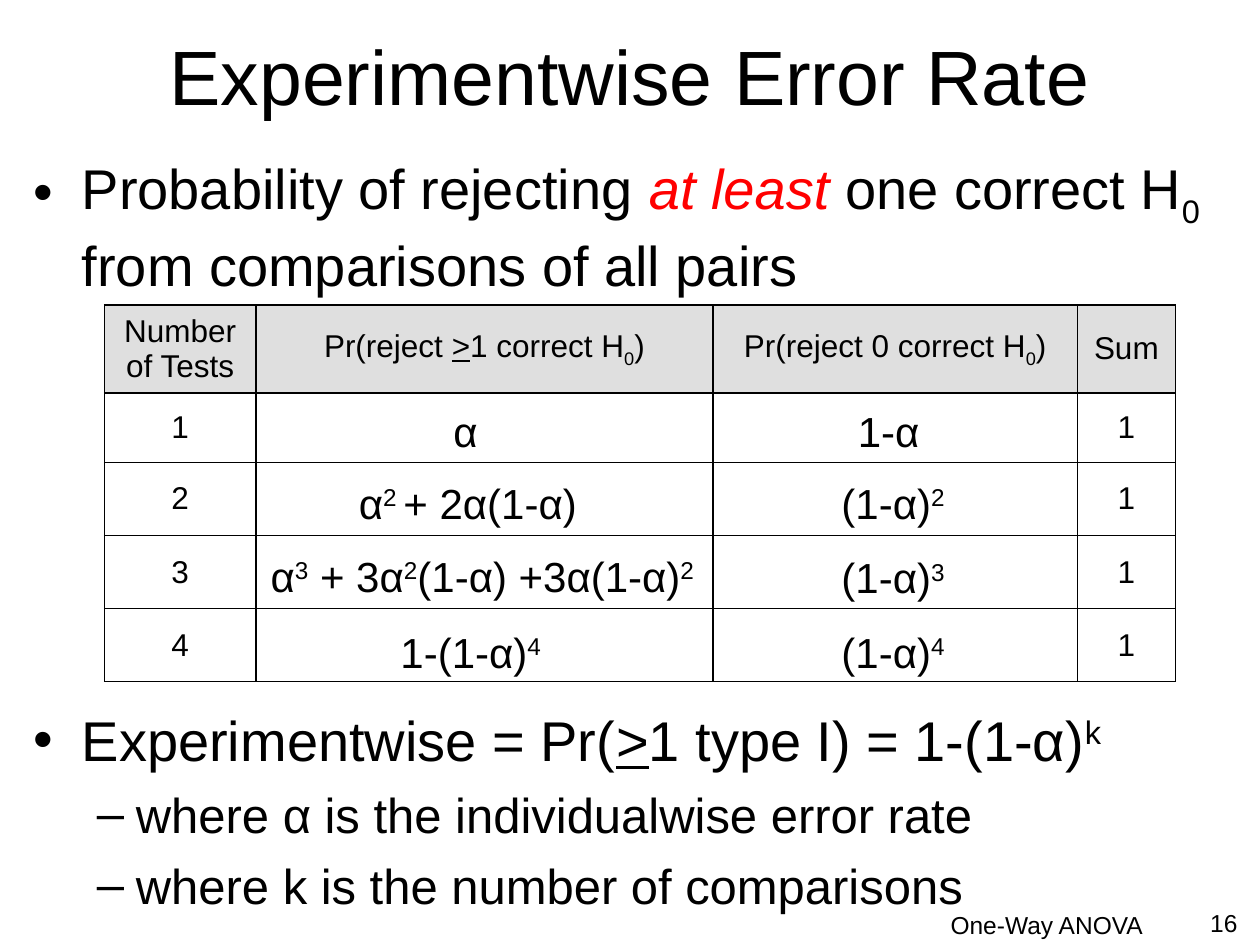
from lxml.etree import SubElement as Sub
from pptx import Presentation
from pptx.dml.color import RGBColor as Rgb
from pptx.enum.text import MSO_ANCHOR as Anchor, PP_ALIGN as Align
from pptx.oxml.ns import qn
from pptx.util import Inches, Pt

FONT = "Arial"
BLACK = Rgb(0, 0, 0)
RED = Rgb(255, 0, 0)
GREY = Rgb(0xDF, 0xDF, 0xDF)
SUB, SUP = "-25000", "30000"

LEFT, TOP = 0.83, 2.42
COLS = [1.2, 3.63, 2.89, 0.78]
ROWS = [0.66, 0.55, 0.58, 0.58, 0.58]
HEADS = [
    ["Number of Tests"],
    ["Pr(reject ", (">", "u"), "1 correct H", ("0", SUB), ")"],
    ["Pr(reject 0 correct H", ("0", SUB), ")"],
    ["Sum"],
]
TERMS = [
    (3.5, 3.17, 0.41, ["α"]),
    (6.71, 3.17, 0.71, ["1-α"]),
    (2.75, 3.74, 2.03, ["α", ("2 ", SUP), "+ 2α(1-α)"]),
    (6.58, 3.74, 1.05, ["(1-α)", ("2", SUP)]),
    (2.05, 4.32, 3.73, ["α", ("3", SUP), " + 3α", ("2", SUP),
                        "(1-α) +3α(1-α)", ("2", SUP)]),
    (6.58, 4.33, 1.05, ["(1-α)", ("3", SUP)]),
    (3.08, 4.92, 1.35, ["1-(1-α)", ("4", SUP)]),
    (6.58, 4.92, 1.05, ["(1-α)", ("4", SUP)]),
]
CLAIM = [
    ("•", 32, ["Probability of rejecting ", ("at least ", "red"),
               "one correct H", ("0", SUB), " from comparisons of all pairs"]),
]
RULE = [
    ("•", 32, ["Experimentwise = Pr(", (">", "u"), "1 type I) = 1-(1-α)", ("k", SUP)]),
    ("–", 28, ["where α is the individualwise error rate"]),
    ("–", 28, ["where k is the number of comparisons"]),
]
INDENT = {"•": (0.38, -0.38), "–": (0.81, -0.31)}


def add_runs(para, runs, size):
    """Add plain strings and (text, style) pairs as runs."""
    for item in runs:
        text, style = (item, "") if isinstance(item, str) else item
        run = para.add_run()
        run.text = text
        font = run.font
        font.name, font.size = FONT, Pt(size)
        font.color.rgb = RED if style == "red" else BLACK
        if style == "red":
            font.italic = True
        elif style == "u":
            font.underline = True
        elif style:
            run._r.get_or_add_rPr().set("baseline", style)


def add_box(slide, x, y, w, h, wrap=True):
    """Add an empty text box and return its frame."""
    frame = slide.shapes.add_textbox(Inches(x), Inches(y), Inches(w), Inches(h)).text_frame
    frame.word_wrap = wrap
    return frame


def add_line(slide, x, y, w, h, runs, size, align=Align.LEFT, wrap=True):
    """Add a text box with one paragraph."""
    frame = add_box(slide, x, y, w, h, wrap)
    frame.vertical_anchor = Anchor.MIDDLE if align == Align.CENTER else Anchor.TOP
    para = frame.paragraphs[0]
    para.alignment = align
    add_runs(para, runs, size)


def add_list(slide, y, h, items):
    """Add a text box of bulleted paragraphs."""
    frame = add_box(slide, 0.17, y, 9.58, h)
    for i, (mark, size, runs) in enumerate(items):
        para = frame.add_paragraph() if i else frame.paragraphs[0]
        para.space_before = Pt(size * 0.24 if i else 0)
        props = para._p.get_or_add_pPr()
        margin, hang = INDENT[mark]
        props.set("marL", str(Inches(margin)))
        props.set("indent", str(Inches(hang)))
        Sub(props, qn("a:buFont"), typeface=FONT)
        Sub(props, qn("a:buChar"), char=mark)
        add_runs(para, runs, size)


def add_edges(cell):
    """Draw thin black borders round a cell."""
    props = cell._tc.get_or_add_tcPr()
    for i, side in enumerate(("lnL", "lnR", "lnT", "lnB")):
        line = props.makeelement(qn("a:" + side), {"w": str(Pt(1))})
        fill = Sub(line, qn("a:solidFill"))
        Sub(fill, qn("a:srgbClr"), val=str(BLACK))
        props.insert(i, line)


def add_grid(slide):
    """Add the table of test counts and sums."""
    table = slide.shapes.add_table(
        len(ROWS), len(COLS), Inches(LEFT), Inches(TOP),
        Inches(sum(COLS)), Inches(sum(ROWS))).table
    for col, width in zip(table.columns, COLS):
        col.width = Inches(width)
    for row, height in zip(table.rows, ROWS):
        row.height = Inches(height)
    body = [[[str(n)], [], [], ["1"]] for n in range(1, len(ROWS))]
    for r, row in enumerate([HEADS] + body):
        for c, runs in enumerate(row):
            cell = table.cell(r, c)
            cell.vertical_anchor = Anchor.MIDDLE
            if r:
                cell.fill.background()
            else:
                cell.fill.solid()
                cell.fill.fore_color.rgb = GREY
            add_edges(cell)
            para = cell.text_frame.paragraphs[0]
            para.alignment = Align.CENTER
            add_runs(para, runs, 18)


def main():
    """Build the slide and save it."""
    deck = Presentation()
    deck.slide_width, deck.slide_height = Inches(10), Inches(7.5)
    slide = deck.slides.add_slide(deck.slide_layouts[6])
    add_line(slide, 6, 7.17, 3.17, 0.25, ["One-Way ANOVA"], 14, Align.RIGHT)
    add_line(slide, 9.25, 7.16, 0.67, 0.34, ["16"], 14, Align.RIGHT)
    add_line(slide, 0.5, 0.08, 9, 1.03, ["Experimentwise Error Rate"], 44, Align.CENTER)
    add_list(slide, 1.17, 1.25, CLAIM)
    add_list(slide, 5.55, 1.9, RULE)
    add_grid(slide)
    for x, y, w, runs in TERMS:
        add_line(slide, x, y, w, 0.5, runs, 24, wrap=False)
    deck.save("out.pptx")


if __name__ == "__main__":
    main()
